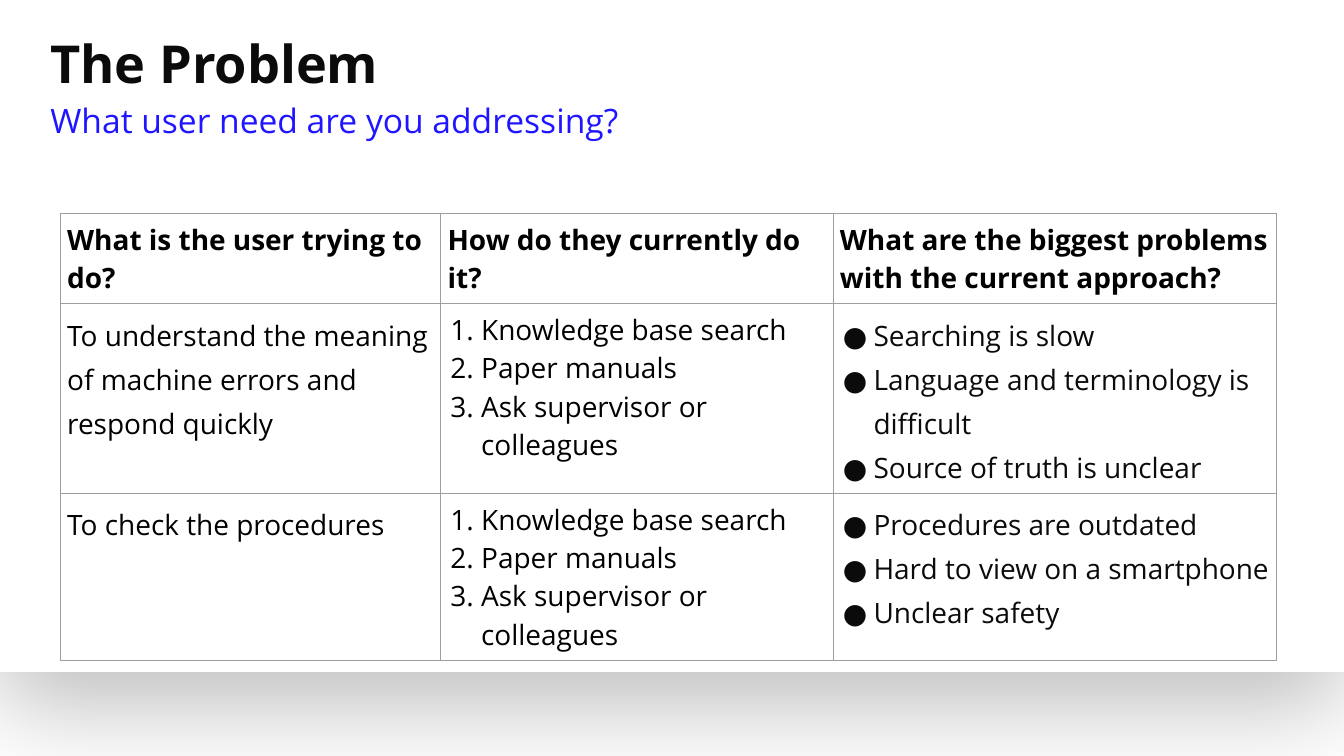
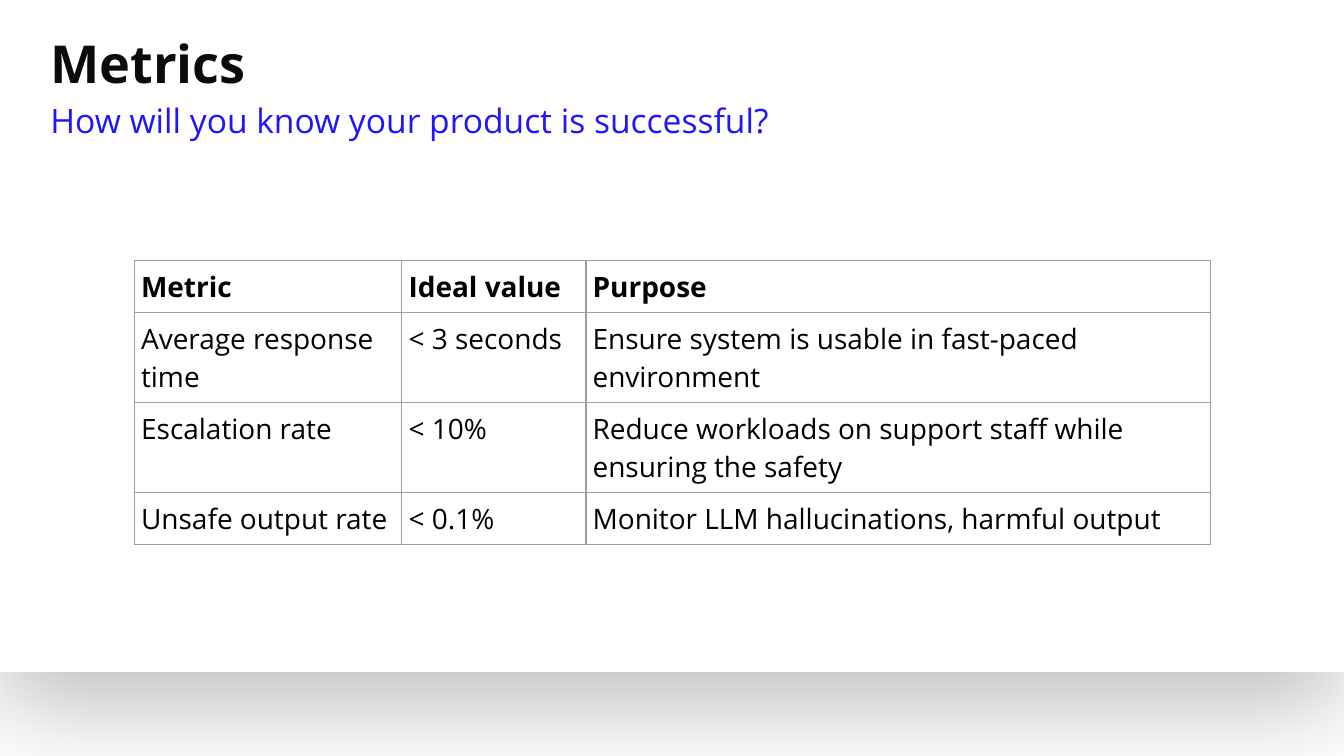
from lxml.etree import SubElement
from pptx import Presentation
from pptx.dml.color import RGBColor
from pptx.enum.shapes import MSO_SHAPE as Preset
from pptx.enum.text import MSO_ANCHOR as Anchor, MSO_AUTO_SIZE as AutoSize, PP_ALIGN as Align
from pptx.oxml.ns import qn
from pptx.util import Pt

FONT = "Open Sans"
COLORS = {
    "white": "FFFFFF",
    "black": "000000",
    "ink": "0B0B0B",
    "accent": "2015FF",
    "grid": "9E9E9E",
}
CELL_INSET = 3.6
ROW_HEIGHT = 15


def add_xml(parent, tag, **attributes):
    return SubElement(parent, qn(tag), {key: str(value) for key, value in attributes.items()})


def set_marker(paragraph, marker, color):
    """Give the paragraph a bullet character, "1." numbering, or no marker at all."""
    properties = paragraph._p.get_or_add_pPr()
    properties.set("marL", str(Pt(18) if marker else 0))
    properties.set("indent", str(Pt(-16.5) if marker else 0))
    if not marker:
        add_xml(properties, "a:buNone")
        return
    add_xml(add_xml(properties, "a:buClr"), "a:srgbClr", val=COLORS[color])
    add_xml(properties, "a:buFont", typeface=FONT)
    if marker == "1.":
        add_xml(properties, "a:buAutoNum", type="arabicPeriod")
    else:
        add_xml(properties, "a:buChar", char=marker)


def write(frame, text, size=15, color="black", bold=False, spacing=1.0, marker=None):
    """Fill the frame with one paragraph per line of text."""
    frame.word_wrap = True
    for number, line in enumerate(text.split("\n")):
        paragraph = frame.add_paragraph() if number else frame.paragraphs[0]
        paragraph.alignment = Align.LEFT
        paragraph.line_spacing = spacing
        paragraph.space_before = Pt(0)
        set_marker(paragraph, marker, color)
        run = paragraph.add_run()
        run.text = line
        run.font.name = FONT
        run.font.size = Pt(size)
        run.font.bold = bold
        run.font.color.rgb = RGBColor.from_string(COLORS[color])


class Deck:
    def __init__(self):
        self.presentation = Presentation()
        self.presentation.slide_width = Pt(720)
        self.presentation.slide_height = Pt(405)
        self.layout = self.presentation.slide_layouts[1]
        self.slide = None

    def add_slide(self, title, question):
        first = self.slide is None
        self.slide = self.presentation.slides.add_slide(self.layout)
        if first:
            self.add_shared_panel()
        heading, subheading = self.slide.placeholders
        self.place(heading, 0, 50.4, Anchor.BOTTOM)
        write(heading.text_frame, title, size=28, color="ink", bold=True)
        self.place(subheading, 50.4, 28, Anchor.MIDDLE)
        write(subheading.text_frame, question, size=18, color="accent")

    def add_shared_panel(self):
        """Draw the white panel with its shadow and move it to the layout."""
        panel = self.slide.shapes.add_shape(Preset.RECTANGLE, 0, 0, Pt(720), Pt(360))
        panel.fill.solid()
        panel.fill.fore_color.rgb = RGBColor.from_string(COLORS["white"])
        panel.line.fill.background()
        effects = add_xml(panel.element.spPr, "a:effectLst")
        shadow = add_xml(effects, "a:outerShdw", blurRad=Pt(56.2), dist=Pt(18.8),
                         dir=90 * 60000, algn="bl", rotWithShape=0)
        tint = add_xml(shadow, "a:srgbClr", val=COLORS["black"])
        add_xml(tint, "a:alpha", val=25000)
        self.layout.shapes.element.insert(2, panel.element)

    def place(self, placeholder, top, height, anchor):
        placeholder.left, placeholder.top = Pt(27), Pt(top)
        placeholder.width, placeholder.height = Pt(666), Pt(height)
        frame = placeholder.text_frame
        frame.auto_size = AutoSize.NONE
        frame.vertical_anchor = anchor
        frame.margin_left = frame.margin_right = frame.margin_top = frame.margin_bottom = 0

    def add_table(self, left, top, widths, rows, column_formats):
        """Draw a grid with a bold first row; column_formats style the rows below it."""
        table = self.slide.shapes.add_table(
            len(rows), len(widths), Pt(left), Pt(top),
            Pt(sum(widths)), Pt(ROW_HEIGHT * len(rows))).table
        table.first_row = table.horz_banding = False
        for column, width in zip(table.columns, widths):
            column.width = Pt(width)
        for number, (row, texts) in enumerate(zip(table.rows, rows)):
            row.height = Pt(ROW_HEIGHT)
            for cell, text, body_format in zip(row.cells, texts, column_formats):
                self.style_cell(cell)
                write(cell.text_frame, text, **(body_format if number else {"bold": True}))

    def style_cell(self, cell):
        cell.margin_left = cell.margin_right = Pt(CELL_INSET)
        cell.margin_top = cell.margin_bottom = Pt(CELL_INSET)
        properties = cell._tc.get_or_add_tcPr()
        for side in "LRTB":
            line = add_xml(properties, f"a:ln{side}", w=Pt(0.75))
            add_xml(add_xml(line, "a:solidFill"), "a:srgbClr", val=COLORS["grid"])
        cell.fill.background()

    def save(self):
        self.presentation.save("out.pptx")


def main():
    deck = Deck()

    current_methods = "Knowledge base search\nPaper manuals\nAsk supervisor or colleagues"
    deck.add_slide("The Problem", "What user need are you addressing?")
    deck.add_table(32.4, 114.5, [203.8, 210.2, 237.6], [
        ("What is the user trying to do?", "How do they currently do it?",
         "What are the biggest problems with the current approach?"),
        ("To understand the meaning of machine errors and respond quickly", current_methods,
         "Searching is slow\nLanguage and terminology is difficult\nSource of truth is unclear"),
        ("To check the procedures", current_methods,
         "Procedures are outdated\nHard to view on a smartphone\nUnclear safety"),
    ], [{"spacing": 1.15}, {"marker": "1."}, {"spacing": 1.15, "marker": "●", "color": "ink"}])

    deck.add_slide("Metrics", "How will you know your product is successful?")
    deck.add_table(72, 139.7, [143.3, 98.6, 334.8], [
        ("Metric", "Ideal value", "Purpose"),
        ("Average response time", "< 3 seconds",
         "Ensure system is usable in fast-paced environment"),
        ("Escalation rate", "< 10%",
         "Reduce workloads on support staff while ensuring the safety"),
        ("Unsafe output rate", "< 0.1%", "Monitor LLM hallucinations, harmful output"),
    ], [{}, {}, {}])

    deck.save()


if __name__ == "__main__":
    main()
